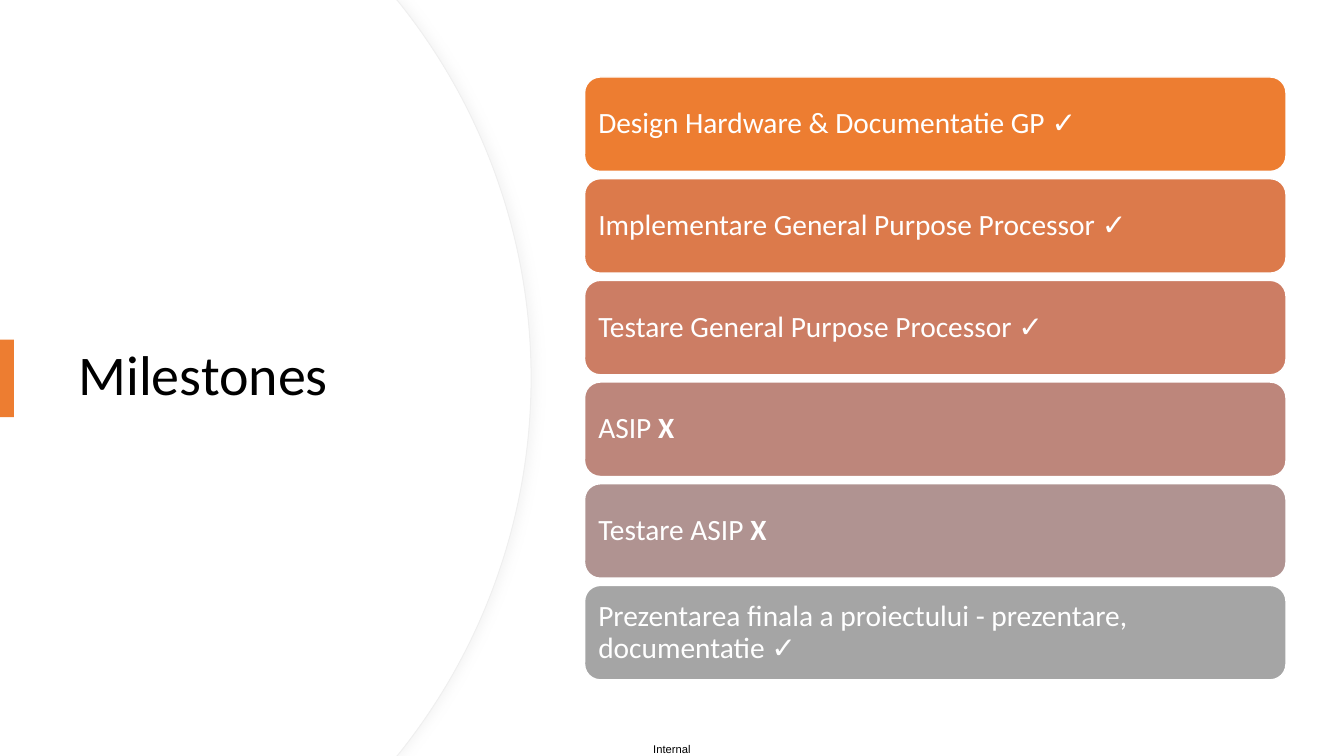
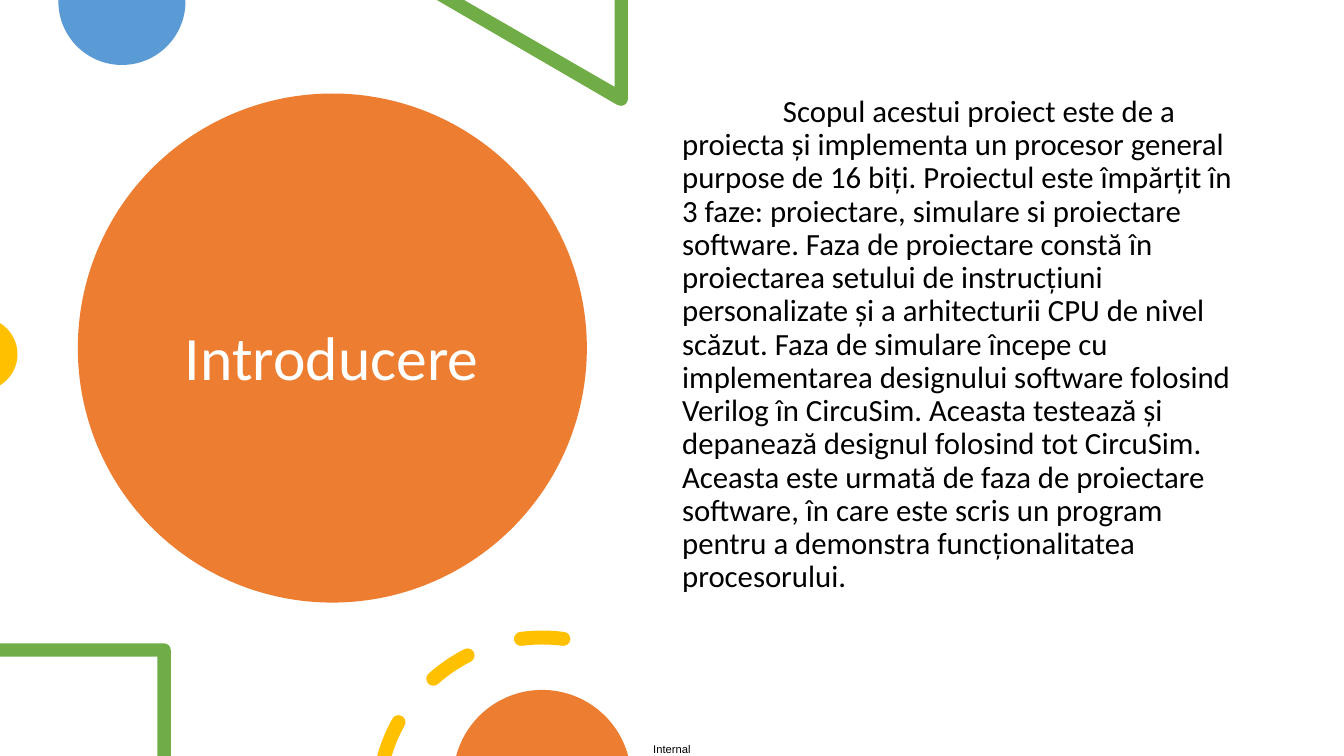
from math import cos, radians, sin, tan

from lxml.etree import SubElement
from pptx import Presentation
from pptx.dml.color import RGBColor
from pptx.enum.shapes import MSO_SHAPE
from pptx.enum.text import MSO_ANCHOR, PP_ALIGN
from pptx.oxml.ns import qn
from pptx.util import Pt

WIDTH, HEIGHT = 960, 540
BLACK = RGBColor(0x00, 0x00, 0x00)
WHITE = RGBColor(0xFF, 0xFF, 0xFF)
ORANGE = RGBColor(0xED, 0x7D, 0x31)
BLUE = RGBColor(0x5B, 0x9B, 0xD5)
GREEN = RGBColor(0x70, 0xAD, 0x47)
YELLOW = RGBColor(0xFF, 0xC0, 0x00)
EDGE = RGBColor(0xEF, 0xEF, 0xEF)
SHADOW = RGBColor(0xD9, 0xD9, 0xD9)

TITLE = {"name": "Calibri", "size": Pt(40), "color": BLACK}
CIRCLE_TITLE = {**TITLE, "size": Pt(44), "color": WHITE}
BODY = {**TITLE, "size": Pt(22)}
BAR = {**TITLE, "size": Pt(21), "color": WHITE}
BAR_MARK = {**BAR, "bold": True}
FOOTER = {"name": "Arial", "size": Pt(8), "color": BLACK}

DONE, OPEN = "✓", "X"
MILESTONES = [
    ("Design Hardware & Documentatie GP ", DONE, ORANGE),
    ("Implementare General Purpose Processor ", DONE, RGBColor(0xDC, 0x7A, 0x4B)),
    ("Testare General Purpose Processor ", DONE, RGBColor(0xCC, 0x7D, 0x64)),
    ("ASIP ", OPEN, RGBColor(0xBD, 0x86, 0x7B)),
    ("Testare ASIP ", OPEN, RGBColor(0xB0, 0x93, 0x91)),
    ("Prezentarea finala a proiectului - prezentare, documentatie ", DONE,
     RGBColor(0xA5, 0xA5, 0xA5)),
]
INTRODUCTION = (
    "Scopul acestui proiect este de a proiecta și implementa un procesor general "
    "purpose de 16 biți. Proiectul este împărțit în 3 faze: proiectare, simulare si "
    "proiectare software. Faza de proiectare constă în proiectarea setului de "
    "instrucțiuni personalizate și a arhitecturii CPU de nivel scăzut. Faza de "
    "simulare începe cu implementarea designului software folosind Verilog în "
    "CircuSim. Aceasta testează și depanează designul folosind tot CircuSim. Aceasta "
    "este urmată de faza de proiectare software, în care este scris un program "
    "pentru a demonstra funcționalitatea procesorului."
)


def write(shape, spans, inset=(7.2, 3.6), anchor=MSO_ANCHOR.MIDDLE,
          align=PP_ALIGN.LEFT, spacing=0.9, wrap=True):
    """Fill a shape with one paragraph of (text, format) spans and return it."""
    frame = shape.text_frame
    across, down = map(Pt, inset)
    layout = {"word_wrap": wrap, "vertical_anchor": anchor, "margin_left": across,
              "margin_right": across, "margin_top": down, "margin_bottom": down}
    for name, value in layout.items():
        setattr(frame, name, value)
    para = frame.paragraphs[0]
    para.alignment, para.line_spacing = align, spacing
    for text, style in spans:
        span = para.add_run()
        span.text = text
        for name, value in style.items():
            if name == "color":
                span.font.color.rgb = value
            else:
                setattr(span.font, name, value)
    return para


def add_text(page, box, text, style, **layout):
    """Add a text box at the given box."""
    return write(page.shapes.add_textbox(*map(Pt, box)), [(text, style)], **layout)


def paint(shape, fill, line=None, width=1):
    """Set fill and line of a shape and take its shadow away."""
    shape.shadow.inherit = False
    shape.fill.solid()
    shape.fill.fore_color.rgb = fill
    if line is None:
        shape.line.fill.background()
    else:
        shape.line.color.rgb = line
        shape.line.width = Pt(width)
    return shape


def add_shape(page, kind, box, fill, line=None):
    """Add a painted preset shape."""
    return paint(page.shapes.add_shape(kind, *map(Pt, box)), fill, line)


def arc(x, y, radius, start, end, pieces=1):
    """Return a start point and cubic curves, angles clockwise from the right."""
    step = radians(end - start) / pieces
    handle = radius * 4 / 3 * tan(step / 4)
    nodes = []
    for index in range(pieces + 1):
        angle = radians(start) + index * step
        nodes.append((x + radius * cos(angle), y + radius * sin(angle),
                      -handle * sin(angle), handle * cos(angle)))
    curves = [(ax + au, ay + av, bx - bu, by - bv, bx, by)
              for (ax, ay, au, av), (bx, by, bu, bv) in zip(nodes, nodes[1:])]
    return [nodes[0][:2], *curves]


def add_outline(page, contours, fill, line=None, width=1):
    """Add closed contours of points and cubic curves as one freeform."""
    builder = page.shapes.build_freeform(*map(Pt, contours[0][0]))
    for index, contour in enumerate(contours):
        if index:
            builder.move_to(*map(Pt, contour[0]))
        builder.add_line_segments([tuple(map(Pt, part[-2:])) for part in contour[1:]])
    shape = builder.convert_to_shape()
    parts = [part for contour in contours for part in contour[1:]]
    segments = [node for node in shape._element.iter(qn("a:lnTo"))]
    closing = {id(node.getprevious()) for node in shape._element.iter(qn("a:close"))}
    if len(segments) > len(parts):
        segments = [node for node in segments if id(node) not in closing]
    for segment, part in zip(segments, parts):
        if len(part) == 2:
            continue
        curve = segment.makeelement(qn("a:cubicBezTo"))
        for x, y in zip(part[::2], part[1::2]):
            SubElement(curve, qn("a:pt"), x=str(Pt(x) - shape.left),
                       y=str(Pt(y) - shape.top))
        segment.getparent().replace(segment, curve)
    return paint(shape, fill, line, width)


def add_soft_shadow(shape):
    """Give a shape a faint shadow to its right."""
    effects = shape._element.spPr.find(qn("a:effectLst"))
    shadow = SubElement(effects, qn("a:outerShdw"), blurRad=str(Pt(7)),
                        dist=str(Pt(3)), dir="0", algn="l", rotWithShape="0")
    color = SubElement(shadow, qn("a:srgbClr"), val=str(SHADOW))
    SubElement(color, qn("a:alpha"), val="25000")


def add_page(deck):
    """Add a blank page with the shared footer."""
    page = deck.slides.add_slide(deck.slide_layouts[6])
    add_text(page, (466.6, 530.6, 28.8, 9.4), "Internal", FOOTER, inset=(0, 0),
             anchor=MSO_ANCHOR.TOP, spacing=1, wrap=False)
    return page


def add_title_panel(page, box, title):
    """Place the curved panel with its title and accent tab."""
    left, top, width, height = box
    middle = top + height / 2
    for right, line in ((left + width, EDGE), (left + width - 0.72, None)):
        curve = arc(right - 428.4, middle, 428.4, -39.07, 39.07, 2)
        points = [(left, top), *curve, (left, top + height)]
        panel = add_outline(page, [points], WHITE, line, 0.75)
        if line is not None:
            add_soft_shadow(panel)
    add_text(page, (left + 49, middle - 178.5, 283.7, 356.4), title, TITLE)
    add_shape(page, MSO_SHAPE.RECTANGLE, (left, middle - 27.4, 10, 55.4), ORANGE)


def add_milestones(page, box, milestones, gap=5.2):
    """Stack one rounded bar for each milestone."""
    left, top, width, height = box
    pitch = (height + gap) / len(milestones)
    for row, (text, mark, fill) in enumerate(milestones):
        place = (left, top + row * pitch, width, pitch - gap)
        bar = add_shape(page, MSO_SHAPE.ROUNDED_RECTANGLE, place, fill, WHITE)
        write(bar, [(text, BAR), (mark, BAR_MARK)], inset=(6.5, 6.5))


def add_circle_title(page, box, title):
    """Place the large circle and its title."""
    left, top, width, height = box
    add_shape(page, MSO_SHAPE.OVAL, box, ORANGE)
    add_text(page, (left + 54, top + 30.2, 255, 320.4), title, CIRCLE_TITLE,
             align=PP_ALIGN.CENTER)


def ring_dash(x, y, radius, start, end, half=5):
    """Return the contour of a dash along a ring, with round ends."""
    ends = [(x + radius * cos(radians(a)), y + radius * sin(radians(a)))
            for a in (start, end)]
    return [*arc(x, y, radius + half, start, end),
            *arc(*ends[1], half, end, end + 180, 2)[1:],
            *arc(x, y, radius - half, end, start)[1:],
            *arc(*ends[0], half, start + 180, start + 360, 2)[1:]]


def add_ornaments(page, box):
    """Place the cut circles, frames and dashes along the edges of the box."""
    left, top, width, height = box
    right, bottom = left + width, top + height
    add_outline(page, [[(left + 41.8, top), (left + 132.5, top),
                        *arc(left + 87.1, top + 1, 45.4, 0, 180, 2)]], BLUE)
    triangle = [(right, top), (right - 9.5, top), (right - 9.5, top + 62),
                (right - 117, top), (right - 136.5, top), (right - 7.5, top + 75),
                *arc(right - 5, top + 70.6, 5, 90, 0)]
    add_outline(page, [triangle], GREEN)
    add_outline(page, [arc(left - 13.5, top + 253, 26, -58.7, 58.7, 2)], YELLOW)
    frame = [(left, bottom - 80.5), *arc(left + 117, bottom - 75.5, 5, 270, 360),
             (left + 122, bottom), (left + 112.5, bottom),
             (left + 112.5, bottom - 71), (left, bottom - 71)]
    add_outline(page, [frame], GREEN)
    x, y, radius = right - 61.2, bottom + 32.8, 117.4
    cut_dash = [*arc(x, y, radius + 5, 195.5, 209),
                *arc(x + radius * cos(radians(209)), y + radius * sin(radians(209)),
                     5, 209, 389, 2)[1:],
                *arc(x, y, radius - 5, 209, 197)[1:]]
    dashes = [ring_dash(x, y, radius, *span) for span in ((228.5, 243), (262.6, 277.4))]
    add_outline(page, [cut_dash, *dashes], YELLOW)
    add_outline(page, [arc(x, bottom + 16.4, 63.6, 195, 345, 2)], ORANGE)


def add_body(page, box, text):
    """Place the running text with an indented first line."""
    para = add_text(page, box, text, BODY, anchor=MSO_ANCHOR.TOP)
    para._p.get_or_add_pPr().set("indent", str(Pt(72)))


def main():
    """Build and save the deck."""
    deck = Presentation()
    deck.slide_width, deck.slide_height = Pt(WIDTH), Pt(HEIGHT)

    page = add_page(deck)
    add_title_panel(page, (0, 0, 379.4, HEIGHT), "Milestones")
    add_milestones(page, (417.6, 55, 501, 430.6), MILESTONES)

    page = add_page(deck)
    add_circle_title(page, (55.6, 66.8, 363.6, 363.6), "Introducere")
    add_ornaments(page, (0, 0, 448.5, HEIGHT))
    add_body(page, (480.2, 64.8, 414, 385.2), INTRODUCTION)

    deck.save("out.pptx")


if __name__ == "__main__":
    main()
